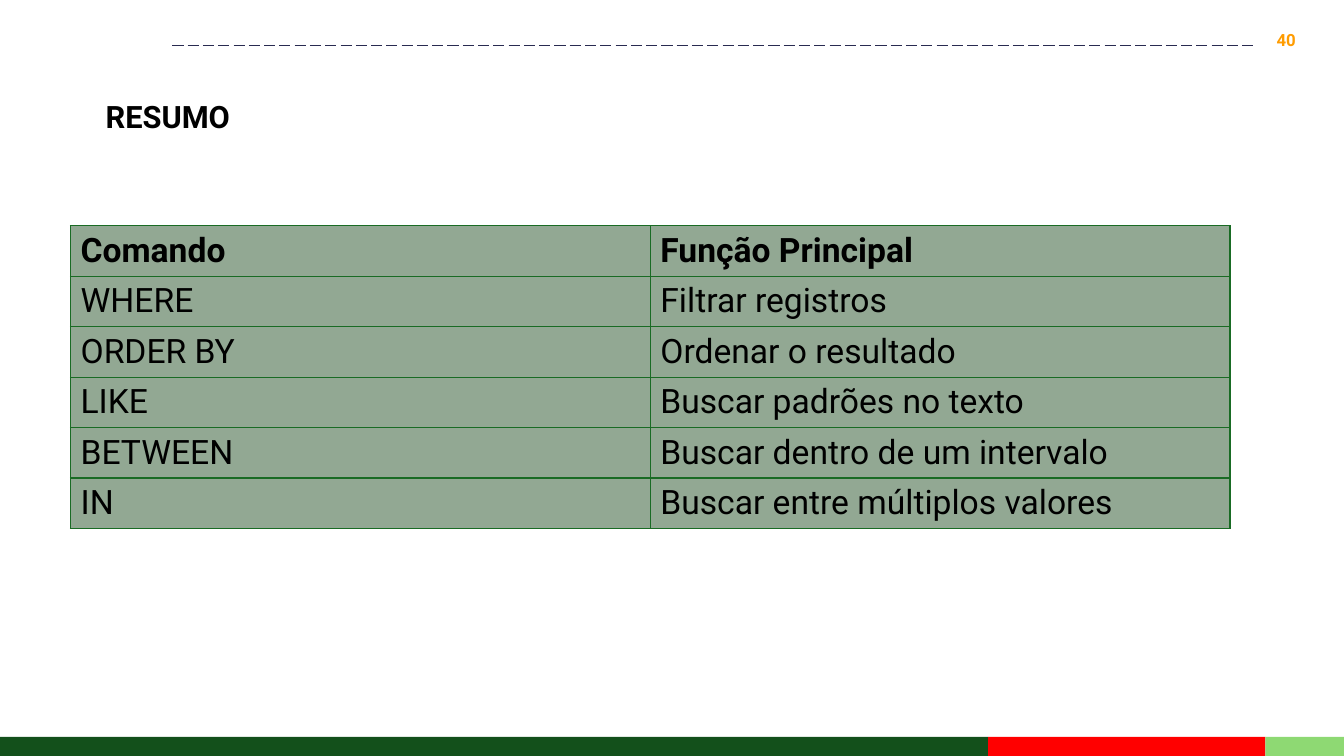
from lxml import etree
from pptx import Presentation
from pptx import util as u
from pptx.dml.color import RGBColor
from pptx.enum import dml, shapes, text
from pptx.oxml import parse_xml
from pptx.oxml.ns import nsdecls, qn

WHITE = RGBColor(0xFF, 0xFF, 0xFF)
BLACK = RGBColor(0x00, 0x00, 0x00)
DARK_GREEN = RGBColor(0x13, 0x50, 0x1B)
RED = RGBColor(0xFF, 0x00, 0x00)
LIGHT_GREEN = RGBColor(0x8E, 0xD9, 0x73)
ORANGE = RGBColor(0xFF, 0x9C, 0x00)
NAVY = RGBColor(0x29, 0x2B, 0x51)
CELL_GREEN = RGBColor(0x92, 0xA8, 0x93)
BORDER_GREEN = RGBColor(0x19, 0x6B, 0x24)

FOOTER_HEIGHT = 0.19
RULE_Y = 0.45
RULE_END = 12.44
COLUMN_WIDTH = 5.75
ROW_HEIGHT = 0.5


def write(para, words, size, color, bold):
    span = para.add_run()
    span.text = words
    span.font.name = "Roboto"
    span.font.size = u.Pt(size)
    span.font.bold = bold
    span.font.color.rgb = color


def add_box(left, top, width, height):
    box = page.shapes.add_textbox(u.Inches(left), u.Inches(top), u.Inches(width), u.Inches(height))
    box.text_frame.word_wrap = True
    return box.text_frame


deck = Presentation()
deck.slide_width = u.Inches(13.33)
deck.slide_height = u.Inches(7.5)
page = deck.slides.add_slide(deck.slide_layouts[6])
page.background.fill.solid()
page.background.fill.fore_color.rgb = WHITE

left = 0
for width, color in [(9.8, DARK_GREEN), (2.75, RED), (0.78, LIGHT_GREEN)]:
    band = page.shapes.add_shape(
        shapes.MSO_SHAPE.RECTANGLE,
        u.Inches(left), deck.slide_height - u.Inches(FOOTER_HEIGHT),
        u.Inches(width), u.Inches(FOOTER_HEIGHT),
    )
    band.shadow.inherit = False
    band.fill.solid()
    band.fill.fore_color.rgb = color
    band.line.fill.background()
    left += width

number = add_box(RULE_END, 0.2, 0.51, 0.4)
number.vertical_anchor = text.MSO_ANCHOR.MIDDLE
number.paragraphs[0].alignment = text.PP_ALIGN.RIGHT
write(number.paragraphs[0], "40", 12, ORANGE, True)

rule = page.shapes.add_connector(
    shapes.MSO_CONNECTOR.STRAIGHT,
    u.Inches(1.71), u.Inches(RULE_Y), u.Inches(RULE_END), u.Inches(RULE_Y),
)
rule.line.color.rgb = NAVY
rule.line.width = u.Pt(1)
rule.line.dash_style = dml.MSO_LINE.LONG_DASH
etree.SubElement(rule._element.spPr, qn("a:effectLst"))

title = add_box(0.95, 0.74, 7.89, 0.59)
title.auto_size = text.MSO_AUTO_SIZE.SHAPE_TO_FIT_TEXT
title.paragraphs[0].line_spacing = 1.5
write(title.paragraphs[0], "RESUMO", 22, BLACK, True)

commands = [
    ("Comando", "Função Principal"),
    ("WHERE", "Filtrar registros"),
    ("ORDER BY", "Ordenar o resultado"),
    ("LIKE", "Buscar padrões no texto"),
    ("BETWEEN", "Buscar dentro de um intervalo"),
    ("IN", "Buscar entre múltiplos valores"),
]
table = page.shapes.add_table(
    len(commands), 2, u.Inches(0.7), u.Inches(2.24),
    u.Inches(2 * COLUMN_WIDTH), u.Inches(len(commands) * ROW_HEIGHT),
).table
for column in table.columns:
    column.width = u.Inches(COLUMN_WIDTH)
for row, entries in enumerate(commands):
    table.rows[row].height = u.Inches(ROW_HEIGHT)
    for col, words in enumerate(entries):
        cell = table.cell(row, col)
        cell.vertical_anchor = text.MSO_ANCHOR.MIDDLE
        for side in ("lnL", "lnR", "lnT", "lnB"):
            cell._tc.get_or_add_tcPr().append(parse_xml(
                f'<a:{side} {nsdecls("a")} w="{u.Pt(1)}"><a:solidFill>'
                f'<a:srgbClr val="{BORDER_GREEN}"/></a:solidFill></a:{side}>'
            ))
        cell.fill.solid()
        cell.fill.fore_color.rgb = CELL_GREEN
        write(cell.text_frame.paragraphs[0], words, 24, BLACK, row == 0)

deck.save("out.pptx")
